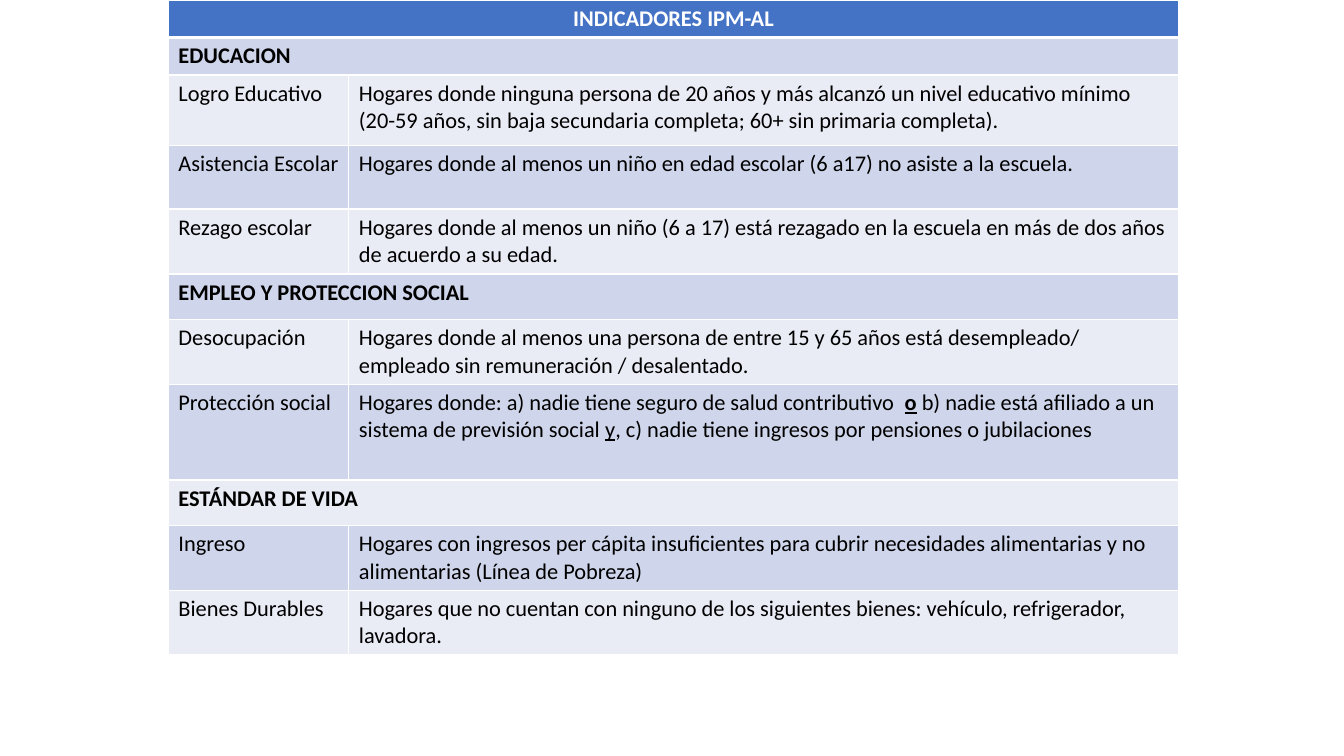
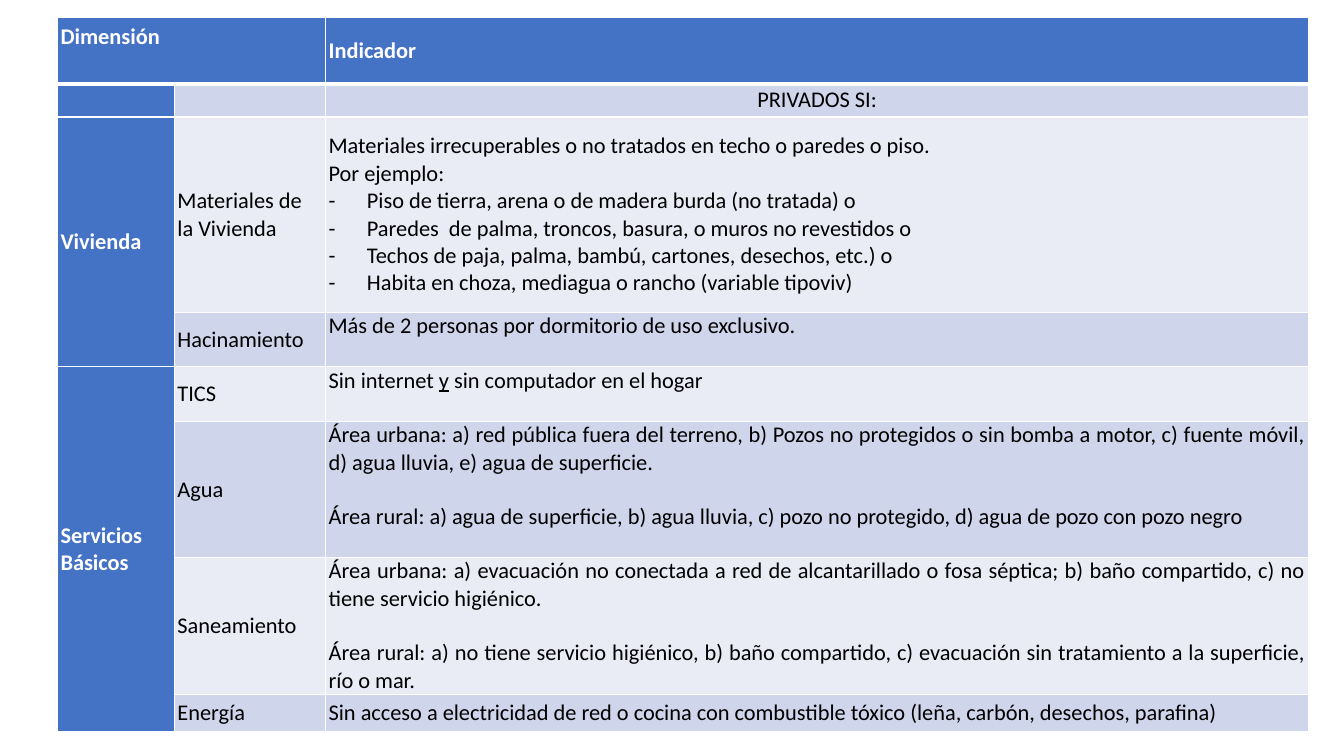
from dataclasses import dataclass
from lxml.etree import SubElement
from pptx import Presentation
from pptx.dml.color import RGBColor
from pptx.enum.text import MSO_ANCHOR as Anchor, PP_ALIGN as Align
from pptx.oxml import parse_xml
from pptx.oxml.ns import nsdecls, qn
from pptx.util import Inches, Pt

BLUE, WHITE, BLACK = "4472C4", "FFFFFF", "000000"
BANDS = ("E9EBF5", "CFD5EA")
FONT, SIZE, LINE = "Calibri", 16, 19.5


@dataclass
class Mark:
    text: str
    bold: bool = False


@dataclass
class Para:
    pieces: tuple
    align: object = None
    bullet: str = ""
    gap: float = 0


def color(value):
    return RGBColor.from_string(value)


class Builder:
    def __init__(self, width, height):
        self.deck = Presentation()
        self.deck.slide_width, self.deck.slide_height = Inches(width), Inches(height)
        self.page = None

    def add_page(self):
        self.page = self.deck.slides.add_slide(self.deck.slide_layouts[6])

    def across(self, percent):
        return int(self.deck.slide_width * percent / 100)

    def down(self, percent):
        return int(self.deck.slide_height * percent / 100)

    def table(self, left, top, columns, rows, merges, first_column=False):
        frame = self.page.shapes.add_table(
            len(rows), len(columns), self.across(left), self.down(top),
            self.across(sum(columns)), self.down(sum(rows)))
        grid = frame.table
        grid.first_col = first_column
        for column, share in zip(grid.columns, columns):
            column.width = self.across(share)
        for row, share in zip(grid.rows, rows):
            row.height = self.down(share)
        for first_row, first, last_row, last in merges:
            grid.cell(first_row, first).merge(grid.cell(last_row, last))
        for number, row in enumerate(grid.rows):
            for index, cell in enumerate(row.cells):
                head = number == 0 or (first_column and index == 0)
                cell.fill.solid()
                cell.fill.fore_color.rgb = color(BLUE if head else BANDS[number % 2])
                self.borders(cell, 3 if number == 1 else 1, 3 if number == 0 else 1)
        return grid

    def borders(self, cell, top, bottom):
        properties = cell._tc.get_or_add_tcPr()
        for place, (side, points) in enumerate(zip("LRTB", (1, 1, top, bottom))):
            properties.insert(place, parse_xml(
                f'<a:ln{side} {nsdecls("a")} w="{Pt(points)}"><a:solidFill>'
                f'<a:srgbClr val="{WHITE}"/></a:solidFill></a:ln{side}>'))

    def tighten(self, cell, anchor=Anchor.MIDDLE, top=0):
        cell.margin_left = cell.margin_right = Inches(0.03)
        cell.margin_top, cell.margin_bottom = Inches(top), 0
        cell.vertical_anchor = anchor

    def label(self, cell, content, ink=BLACK, bold=False, align=Align.LEFT):
        items = content if isinstance(content, list) else [content]
        for number, item in enumerate(items):
            if not isinstance(item, Para):
                item = Para(item if isinstance(item, tuple) else (item,))
            frame = cell.text_frame
            para = frame.add_paragraph() if number else frame.paragraphs[0]
            para.alignment = item.align or align
            para.space_before = Pt(item.gap)
            if item.bullet:
                self.bullet(para, item.bullet)
            para.font.name, para.font.size = FONT, Pt(SIZE)
            para.font.bold, para.font.color.rgb = bold, color(ink)
            for piece in item.pieces:
                span = para.add_run()
                if isinstance(piece, Mark):
                    span.text = piece.text
                    span.font.underline = True
                    span.font.bold = piece.bold
                else:
                    span.text = piece

    def bullet(self, para, sign):
        properties = para._p.get_or_add_pPr()
        properties.set("marL", str(Inches(0.38)))
        properties.set("indent", str(-Inches(0.38)))
        SubElement(properties, qn("a:buFont")).set("typeface", FONT)
        SubElement(properties, qn("a:buChar")).set("char", sign)


def indicators(builder):
    lines = [
        ("INDICADORES IPM-AL",),
        ("EDUCACION",),
        ("Logro Educativo",
         "Hogares donde ninguna persona de 20 años y más alcanzó un nivel educativo mínimo "
         "(20-59 años, sin baja secundaria completa; 60+ sin primaria completa)."),
        ("Asistencia Escolar",
         "Hogares donde al menos un niño en edad escolar (6 a17) no asiste a la escuela."),
        ("Rezago escolar",
         "Hogares donde al menos un niño (6 a 17) está rezagado en la escuela en más de dos "
         "años de acuerdo a su edad."),
        ("EMPLEO Y PROTECCION SOCIAL",),
        ("Desocupación",
         "Hogares donde al menos una persona de entre 15 y 65 años está desempleado/ "
         "empleado sin remuneración / desalentado."),
        ("Protección social",
         ("Hogares donde: a) nadie tiene seguro de salud contributivo  ", Mark("o", True),
          " b) nadie está afiliado a un sistema de previsión social ", Mark("y"),
          ", c) nadie tiene ingresos por pensiones o jubilaciones")),
        ("ESTÁNDAR DE VIDA",),
        ("Ingreso",
         "Hogares con ingresos per cápita insuficientes para cubrir necesidades alimentarias "
         "y no alimentarias (Línea de Pobreza)"),
        ("Bienes Durables",
         "Hogares que no cuentan con ninguno de los siguientes bienes: vehículo, "
         "refrigerador, lavadora."),
    ]
    builder.add_page()
    grid = builder.table(
        12.53, 0, (13.43, 61.74),
        (4.4, 4.67, 9.33, 8.4, 8, 6, 8.27, 12.67, 6, 6, 6),
        [(number, 0, number, 1) for number, line in enumerate(lines) if len(line) == 1])
    for number, line in enumerate(lines):
        for index, content in enumerate(line):
            builder.label(grid.cell(number, index), content,
                          BLACK if number else WHITE, len(line) == 1,
                          Align.LEFT if number else Align.CENTER)


def deprivations(builder):
    materials = [
        "Materiales irrecuperables o no tratados en techo o paredes o piso.",
        "Por ejemplo:",
        *(Para((example,), bullet="-") for example in (
            "Piso de tierra, arena o de madera burda (no tratada) o",
            "Paredes  de palma, troncos, basura, o muros no revestidos o",
            "Techos de paja, palma, bambú, cartones, desechos, etc.) o",
            "Habita en choza, mediagua o rancho (variable tipoviv)")),
    ]
    water = [
        "Área urbana: a) red pública fuera del terreno, b) Pozos no protegidos o sin bomba a "
        "motor, c) fuente móvil, d) agua lluvia, e) agua de superficie.",
        Para(("Área rural: a) agua de superficie, b) agua lluvia, c) pozo no protegido, "
              "d) agua de pozo con pozo negro",), gap=LINE),
    ]
    sanitation = [
        "Área urbana: a) evacuación no conectada a red de alcantarillado o fosa séptica; "
        "b) baño compartido, c) no tiene servicio higiénico.",
        Para(("Área rural: a) no tiene servicio higiénico, b) baño compartido, c) evacuación "
              "sin tratamiento a la superficie, río o mar.",), gap=LINE),
    ]
    lines = [
        ("Dimensión", "", "Indicador"),
        ("", "", Para(("PRIVADOS SI:",), Align.CENTER)),
        ("Vivienda", Para(("Materiales de la Vivienda",), Align.LEFT), materials),
        ("", "Hacinamiento", "Más de 2 personas por dormitorio de uso exclusivo."),
        ("Servicios Básicos", "TICS",
         ("Sin internet ", Mark("y"), " sin computador en el hogar")),
        ("", "Agua", water),
        ("", "Saneamiento", sanitation),
        ("", "Energía",
         "Sin acceso a electricidad de red o cocina con combustible tóxico (leña, carbón, "
         "desechos, parafina)"),
    ]
    builder.add_page()
    grid = builder.table(
        4.28, 2.27, (8.7, 11.25, 73.14),
        (8.8, 4.4, 25.87, 7.2, 7.2, 18, 18, 4.93),
        [(0, 0, 0, 1), (2, 0, 3, 0), (4, 0, 7, 0)], first_column=True)
    raised = {(0, 0): 0.06, (3, 2): 0, (4, 2): 0, (5, 2): 0}
    for number, line in enumerate(lines):
        for index, content in enumerate(line):
            cell = grid.cell(number, index)
            spot = (number, index)
            builder.tighten(cell, Anchor.TOP if spot in raised else Anchor.MIDDLE,
                            raised.get(spot, 0))
            if content:
                head = number == 0 or index == 0
                builder.label(cell, content, WHITE if head else BLACK, head, Align.JUSTIFY)


builder = Builder(13.33, 7.5)
indicators(builder)
deprivations(builder)
builder.deck.save("out.pptx")
